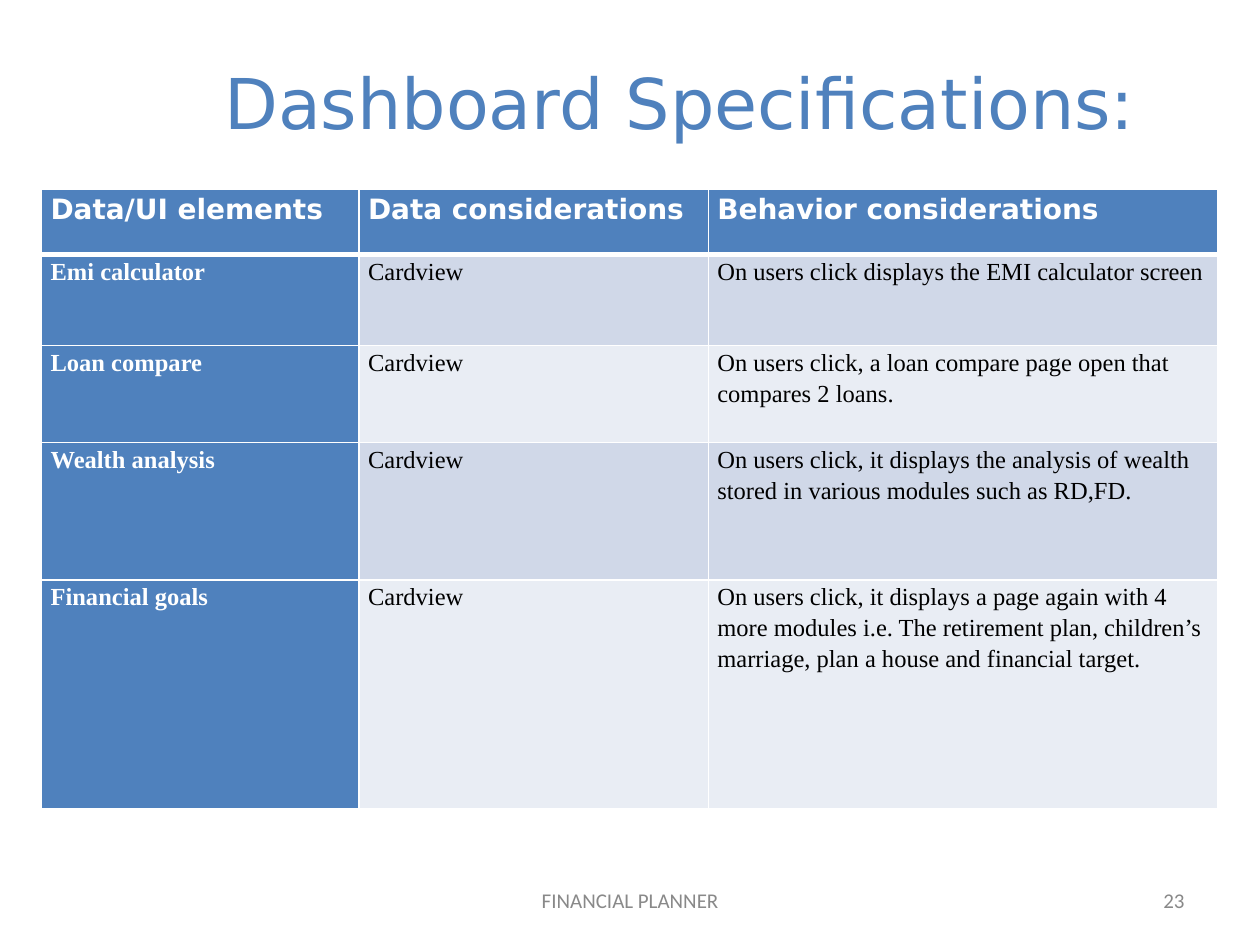
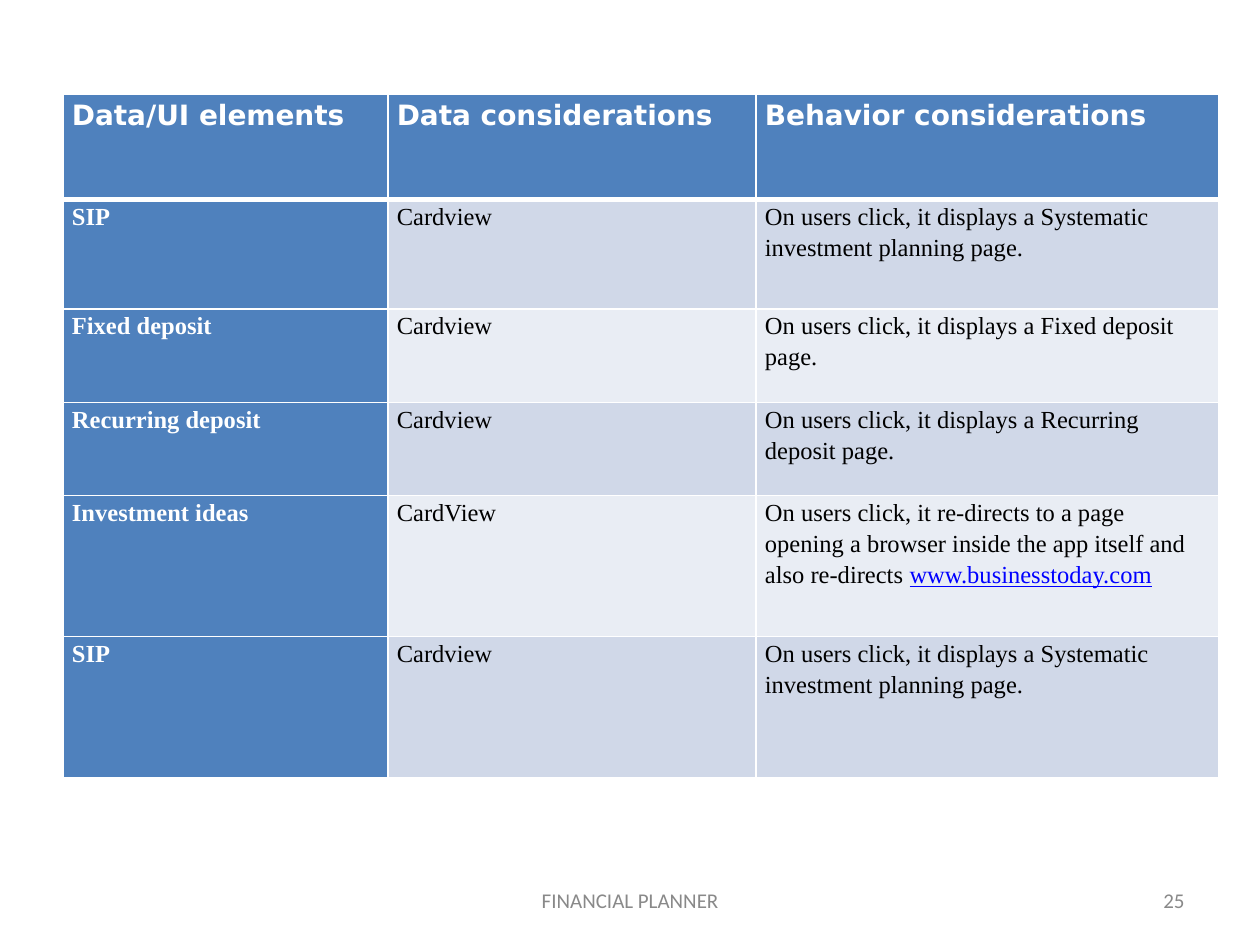
"""Build two dashboard specification slides, each with a table and a footer."""
from lxml import etree
from pptx import Presentation
from pptx.dml.color import RGBColor
from pptx.enum.text import MSO_ANCHOR, MSO_AUTO_SIZE, PP_ALIGN
from pptx.oxml.ns import qn
from pptx.util import Cm, Pt

CENTER, RIGHT = PP_ALIGN.CENTER, PP_ALIGN.RIGHT
TOP, MIDDLE = MSO_ANCHOR.TOP, MSO_ANCHOR.MIDDLE
GROW = MSO_AUTO_SIZE.SHAPE_TO_FIT_TEXT

BLUE, WHITE, BLACK = "4F81BD", "FFFFFF", "000000"
GRAY, LINK_BLUE = "898989", "0000FF"
BANDS = ["E9EDF4", "D0D8E8"]
HEADING_FONT, BODY_FONT, FOOTER_FONT = "DejaVu Sans", "Times New Roman", "Calibri"
HEADER = ["Data/UI elements", "Data considerations", "Behavior considerations"]
LINK = "www.businesstoday.com"
SIP_ROW = ["SIP", "Cardview", "On users click, it displays a Systematic\ninvestment planning page."]

PAGES = [
    {
        "title": "Dashboard Specifications:",
        "number": "23",
        "left": 0.84,
        "top": 3.81,
        "widths": [6.4, 7.04, 10.26],
        "heights": [1.32, 1.83, 1.96, 2.77, 4.62],
        "rows": [
            ["Emi calculator", "Cardview", "On users click displays the EMI calculator screen"],
            ["Loan compare", "Cardview", "On users click, a loan compare page open that\ncompares 2 loans."],
            ["Wealth analysis", "Cardview",
             "On users click, it displays the analysis of wealth\nstored in various modules such as RD,FD."],
            ["Financial goals", "Cardview",
             "On users click, it displays a page again with 4\n"
             "more modules i.e. The retirement plan, children’s marriage, plan a house and financial target."],
        ],
    },
    {
        "title": None,
        "number": "25",
        "left": 1.27,
        "top": 1.91,
        "widths": [6.55, 7.42, 9.32],
        "heights": [2.11, 2.21, 1.88, 1.88, 2.84, 2.84],
        "rows": [
            SIP_ROW,
            ["Fixed deposit", "Cardview", "On users click, it displays a Fixed deposit\npage."],
            ["Recurring deposit", "Cardview", "On users click, it displays a Recurring\ndeposit page."],
            ["Investment ideas", "CardView",
             "On users click, it re-directs to a page opening a browser inside the app itself "
             "and also re-directs " + LINK],
            SIP_ROW,
        ],
    },
]


def color(value):
    return RGBColor.from_string(value)


def add_label(slide, text, box, font_name, size, fill, alignment, anchor):
    shape = slide.shapes.add_textbox(*[Cm(length) for length in box])
    frame = shape.text_frame
    frame.word_wrap = True
    frame.vertical_anchor = anchor
    paragraph = frame.paragraphs[0]
    paragraph.text = text
    paragraph.alignment = alignment
    paragraph.font.name = font_name
    paragraph.font.size = Pt(size)
    paragraph.font.color.rgb = color(fill)
    return frame


presentation = Presentation()
presentation.slide_width = Cm(25.4)
presentation.slide_height = Cm(19.05)

for page in PAGES:
    slide = presentation.slides.add_slide(presentation.slide_layouts[6])
    rows = [HEADER] + page["rows"]
    table = slide.shapes.add_table(
        len(rows), len(HEADER), Cm(page["left"]), Cm(page["top"]),
        Cm(sum(page["widths"])), Cm(sum(page["heights"]))).table
    table.first_row = table.horz_banding = False
    for column, width in zip(table.columns, page["widths"]):
        column.width = Cm(width)

    for row_index, texts in enumerate(rows):
        table.rows[row_index].height = Cm(page["heights"][row_index])
        for column_index, text in enumerate(texts):
            cell = table.cell(row_index, column_index)
            is_header = row_index == 0
            is_label = is_header or column_index == 0
            cell.margin_left = cell.margin_right = Cm(0.18)
            cell.margin_top = cell.margin_bottom = 0

            properties = cell._tc.get_or_add_tcPr()
            for side in ["lnL", "lnR", "lnT", "lnB"]:
                under_header = (row_index, side) in [(0, "lnB"), (1, "lnT")]
                line = etree.SubElement(properties, qn("a:" + side), w=str(Pt(3 if under_header else 1)))
                line_fill = etree.SubElement(line, qn("a:solidFill"))
                etree.SubElement(line_fill, qn("a:srgbClr"), val=WHITE)
            cell.fill.solid()
            cell.fill.fore_color.rgb = color(BLUE if is_label else BANDS[row_index % 2])

            before_link, link, _ = text.partition(LINK)
            cell.text = before_link
            for paragraph in cell.text_frame.paragraphs:
                paragraph.line_spacing = 1.15
                paragraph.font.name = HEADING_FONT if is_header else BODY_FONT
                paragraph.font.size = Pt(16 if is_header else 14)
                paragraph.font.bold = is_label
                paragraph.font.color.rgb = color(WHITE if is_label else BLACK)
            if link:
                run = paragraph.add_run()
                run.text = link
                run.font.underline = True
                run.font.color.rgb = color(LINK_BLUE)

    add_label(slide, "FINANCIAL PLANNER", (8.68, 17.65, 8.05, 1.01), FOOTER_FONT, 12, GRAY, CENTER, MIDDLE)
    add_label(slide, page["number"], (18.2, 17.65, 5.93, 1.01), FOOTER_FONT, 12, GRAY, RIGHT, MIDDLE)
    if page["title"]:
        title_frame = add_label(
            slide, page["title"], (4.11, 1.07, 19.18, 1.96), HEADING_FONT, 40, BLUE, CENTER, TOP)
        title_frame.word_wrap = False
        title_frame.auto_size = GROW

presentation.save("out.pptx")
